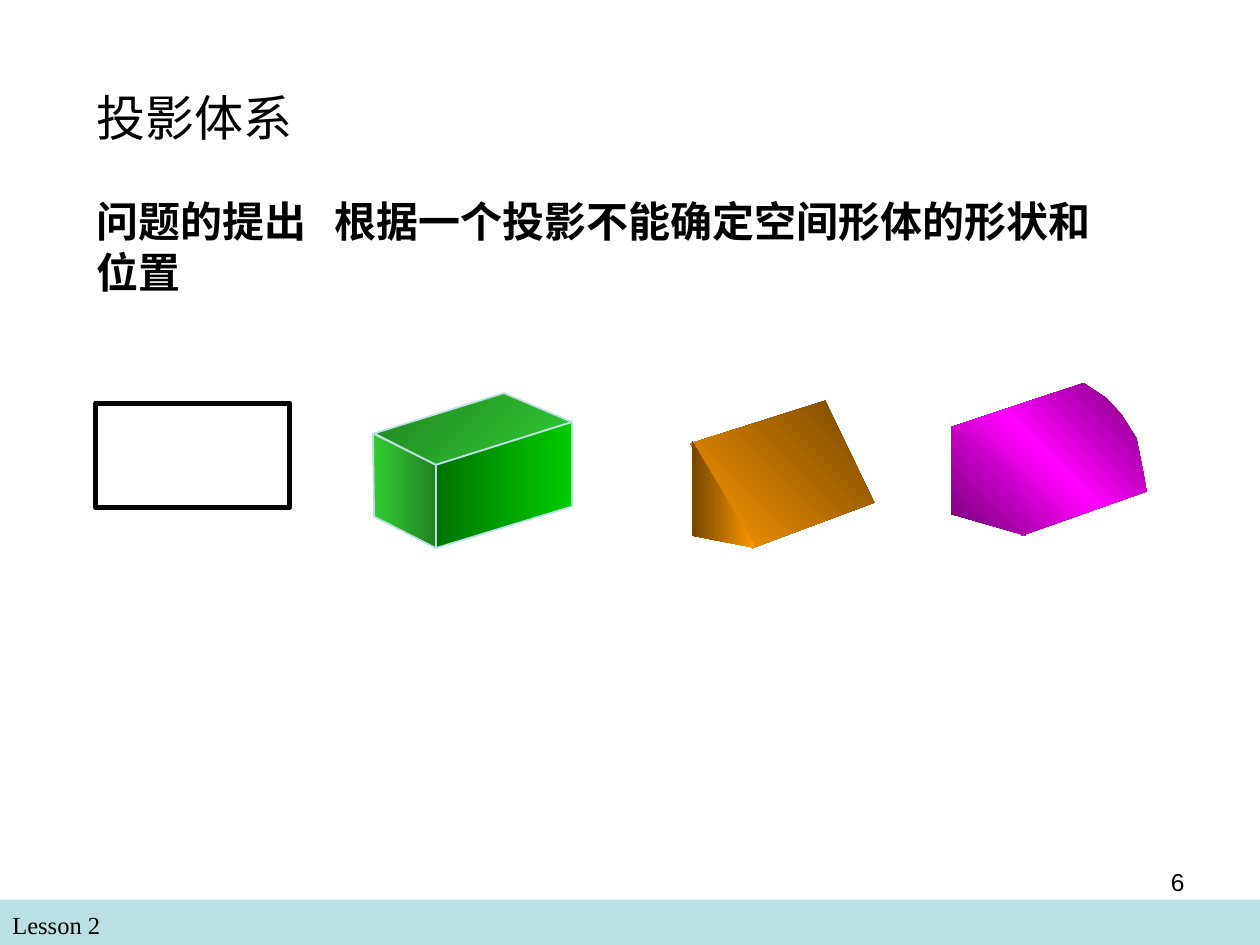
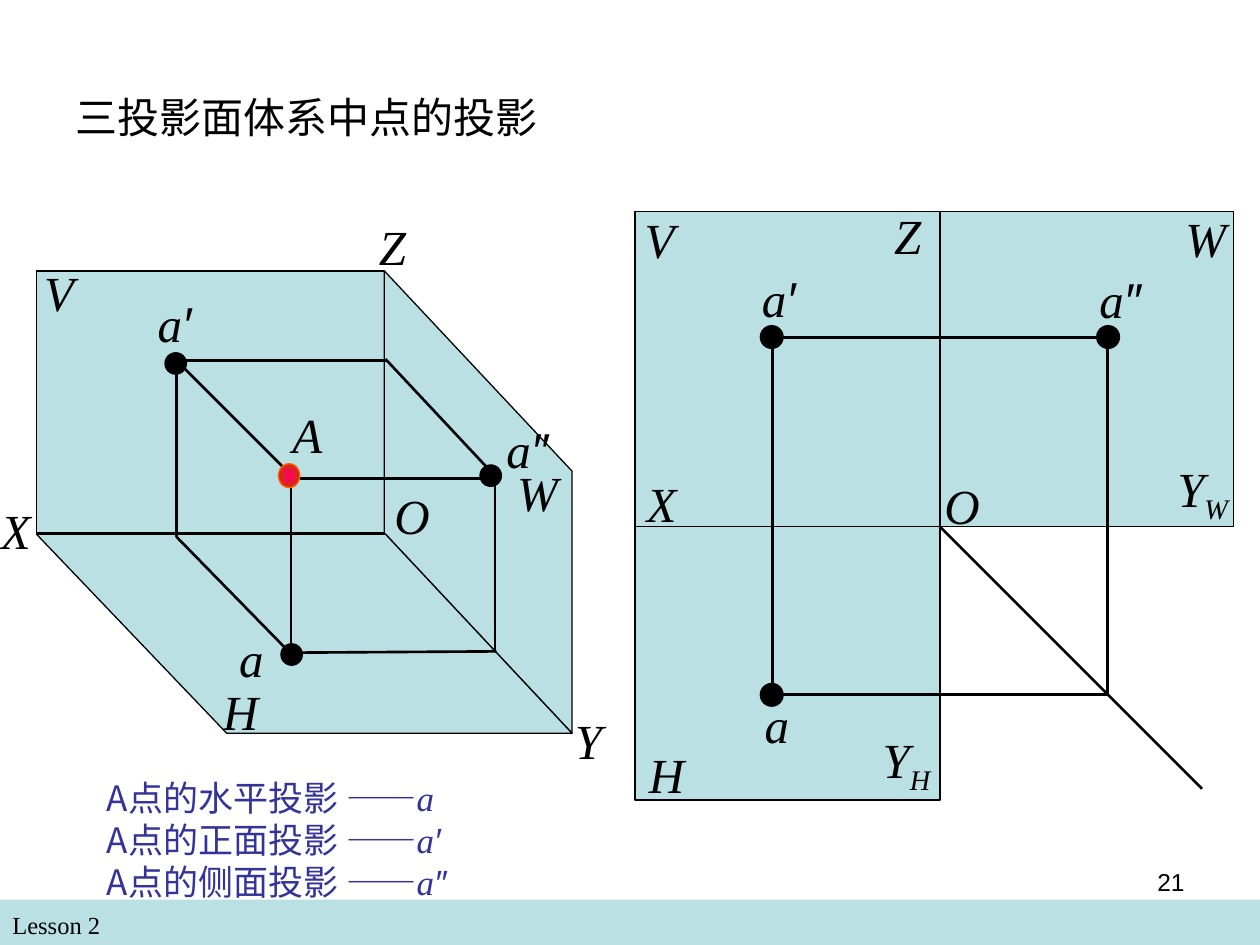
from lxml import etree
from pptx import Presentation
from pptx import util as u
from pptx.dml.color import RGBColor
from pptx.enum import shapes, text
from pptx.oxml.ns import qn

COLOURS = {
    "black": "000000", "pale": "BBE0E3", "blue": "333399", "orange": "FF6600",
    "lime": "33CC33", "leaf": "208320", "green": "00CC00", "pine": "007300",
    "amber": "FF9900", "brown": "754600", "pink": "FF00FF", "plum": "750075",
    "rose": "FF0066", "rust": "CC3300",
}
SERIF, SANS, HAN = "Times New Roman", "Arial", "Noto Sans CJK SC"
MIDDLE = text.MSO_ANCHOR.MIDDLE


def paint(shape, fill=None, line=None, width=0.75):
    """Fill with a colour name, or with (angle, names); angle None means from the centre."""
    shape.shadow.inherit = False
    if fill is None:
        shape.fill.background()
    elif isinstance(fill, str):
        shape.fill.solid()
        shape.fill.fore_color.rgb = RGBColor.from_string(COLOURS[fill])
    else:
        angle, names = fill
        shape.fill.gradient()
        gradient = shape._element.spPr.find(qn("a:gradFill"))
        for child in list(gradient):
            gradient.remove(child)
        stops = etree.SubElement(gradient, qn("a:gsLst"))
        for i, name in enumerate(names):
            stop = etree.SubElement(stops, qn("a:gs"), pos=str(100000 * i // (len(names) - 1)))
            etree.SubElement(stop, qn("a:srgbClr"), val=COLOURS[name])
        if angle is None:
            centre = etree.SubElement(gradient, qn("a:path"), path="rect")
            etree.SubElement(centre, qn("a:fillToRect"), l="50000", t="50000", r="50000", b="50000")
        else:
            etree.SubElement(gradient, qn("a:lin"), ang=str(angle * 60000), scaled="1")
    if line is None:
        shape.line.fill.background()
    else:
        shape.line.color.rgb = RGBColor.from_string(COLOURS[line])
        shape.line.width = u.Pt(width)


def write(page, at, paras, size, colour="black", align=text.PP_ALIGN.LEFT,
          anchor=text.MSO_ANCHOR.TOP, wrap=True, tab=None):
    """Each paragraph is a list of runs (wording, font, style letters: b, i, s for subscript)."""
    box = page.shapes.add_textbox(*map(u.Inches, at))
    frame = box.text_frame
    frame.word_wrap = wrap
    frame.vertical_anchor = anchor
    for i, runs in enumerate(paras):
        para = frame.add_paragraph() if i else frame.paragraphs[0]
        para.alignment = align
        if tab:
            tabs = etree.SubElement(para._p.get_or_add_pPr(), qn("a:tabLst"))
            etree.SubElement(tabs, qn("a:tab"), pos=str(u.Inches(tab)), algn="l")
        for wording, font, style in runs:
            span = para.add_run()
            span.text = wording
            span.font.name = font
            span.font.size = u.Pt(size)
            span.font.bold = "b" in style
            span.font.italic = "i" in style
            span.font.color.rgb = RGBColor.from_string(COLOURS[colour])
            properties = span._r.get_or_add_rPr()
            if "s" in style:
                properties.set("baseline", "-25000")
            if any("一" <= letter <= "龥" for letter in wording):
                etree.SubElement(properties, qn("a:ea"), typeface=HAN)


deck = Presentation()
deck.slide_width, deck.slide_height = u.Inches(10), u.Inches(7.5)

# Pages with their footer band and number
pages = []
for number in ("6", "21"):
    page = deck.slides.add_slide(deck.slide_layouts[6])
    band = page.shapes.add_shape(shapes.MSO_SHAPE.RECTANGLE, *map(u.Inches, (0, 7.14, 10, 0.36)))
    paint(band, "pale")
    write(page, (0, 7.17, 4.83, 0.34), [[("Lesson 2", SERIF, "")]], 14)
    write(page, (7.17, 6.83, 2.33, 0.52), [[(number, SANS, "")]], 14, align=text.PP_ALIGN.RIGHT)
    pages.append(page)
solids, points = pages

# Titles
write(solids, (0.67, 1.33, 8.23, 1.25),
      [[("问题的提出\t根据一个投影不能确定空间形体的形状和位置", SANS, "b")]], 24,
      anchor=MIDDLE, tab=1.89)
write(solids, (0.67, 0.3, 3.83, 1.25), [[("投影体系", SANS, "")]], 28, anchor=MIDDLE)
write(points, (0.5, 0.3, 9, 1.25), [[("三投影面体系中点的投影", HAN, "")]], 24, anchor=MIDDLE)

# Rectangles: the single projection, then the upright planes
rectangles = [
    (solids, (0.76, 3.2, 1.54, 0.83), None, 3),
    (points, (5.04, 1.68, 2.42, 4.67), "pale", 0.75),
    (points, (7.46, 1.68, 2.33, 2.5), "pale", 0.75),
    (points, (0.29, 2.15, 2.76, 2.08), "pale", 0.75),
]
for page, at, fill, width in rectangles:
    plane = page.shapes.add_shape(shapes.MSO_SHAPE.RECTANGLE, *map(u.Inches, at))
    paint(plane, fill, "black", width)

# Faces of the three solids, then the slanted planes
faces = [
    (solids, (225, ("lime", "leaf")), "pale", 1,
     [(2.97, 3.44), (4, 3.12), (4.54, 3.35), (3.46, 3.69)]),
    (solids, (180, ("leaf", "lime")), "pale", 1,
     [(2.96, 3.44), (2.97, 4.1), (3.46, 4.35), (3.46, 3.69)]),
    (solids, (180, ("green", "pine")), "pale", 1,
     [(3.46, 3.69), (3.46, 4.35), (4.54, 4.02), (4.54, 3.35)]),
    (solids, (135, ("brown", "amber")), None, 0,
     [(5.48, 3.52), (6.55, 3.18), (6.94, 3.99), (5.97, 4.35)]),
    (solids, (180, ("amber", "brown")), None, 0,
     [(5.49, 3.5), (5.49, 4.25), (6, 4.35)]),
    (solids, (135, ("plum", "pink", "plum")), None, 0,
     [(7.55, 3.39), (7.72, 3.48), (7.84, 3.58), (7.94, 3.7), (8.04, 3.87), (8.11, 4.08),
      (8.11, 4.25), (9.1, 3.9), (9.07, 3.73), (9.02, 3.48), (8.9, 3.29), (8.78, 3.16),
      (8.6, 3.04)]),
    (solids, (135, ("pink", "plum")), None, 0,
     [(7.55, 3.39), (7.75, 3.49), (7.89, 3.59), (8.02, 3.71), (8.09, 3.91), (8.14, 4.06),
      (8.14, 4.25), (7.55, 4.08)]),
    (points, "pale", "black", 0.75,
     [(3.05, 2.15), (4.54, 3.74), (4.54, 5.82), (3.05, 4.23)]),
    (points, "pale", "black", 0.75,
     [(0.29, 4.24), (1.8, 5.82), (4.54, 5.82), (3.06, 4.24)]),
]
for page, fill, line, width, corners in faces:
    corners = [(u.Inches(x), u.Inches(y)) for x, y in corners]
    outline = page.shapes.build_freeform(*corners[0])
    outline.add_line_segments(corners[1:], close=True)
    paint(outline.convert_to_shape(), fill, line, width)

# Projection lines: unfolded planes, then the spatial view
lines = [
    (6.13, 2.68, 8.88, 2.68, 1.5), (6.13, 2.68, 6.13, 5.51, 1.5),
    (7.46, 4.18, 5.04, 4.18, 0.75), (6.13, 5.51, 8.79, 5.51, 1.5),
    (8.79, 2.68, 8.79, 5.51, 1.5), (7.46, 4.18, 9.54, 6.26, 1.5),
    (1.4, 2.9, 1.4, 4.26, 1.5), (2.3, 5.18, 3.94, 5.17, 1.5),
    (1.4, 4.26, 2.3, 5.18, 1.5), (2.3, 3.76, 1.38, 2.84, 1.5),
    (3.93, 3.81, 3.93, 5.17, 1.5), (2.31, 3.8, 3.98, 3.8, 1.5),
    (2.31, 5.22, 2.31, 3.8, 1.5), (1.4, 2.86, 3.06, 2.86, 1.5),
    (3.06, 2.85, 3.94, 3.79, 1.5),
]
for *ends, width in lines:
    ray = points.shapes.add_connector(shapes.MSO_CONNECTOR.STRAIGHT, *map(u.Inches, ends))
    ray.line.color.rgb = RGBColor.from_string(COLOURS["black"])
    ray.line.width = u.Pt(width)
    etree.SubElement(ray._element.spPr, qn("a:effectLst"))

# Projected points, and point A in space
dots = [
    (6.04, 2.59, 0.17, "black", "black", 1.5), (8.71, 2.59, 0.17, "black", "black", 1.5),
    (6.04, 5.43, 0.17, "black", "black", 1.5), (1.31, 2.8, 0.17, "black", "black", 0.75),
    (2.23, 5.11, 0.17, "black", "black", 0.75), (3.81, 3.69, 0.17, "black", "black", 0.75),
    (2.21, 3.68, 0.19, (None, ("rose", "rust")), "orange", 0.75),
]
for left, top, height, fill, line, width in dots:
    dot = points.shapes.add_shape(shapes.MSO_SHAPE.OVAL, *map(u.Inches, (left, top, 0.17, height)))
    paint(dot, fill, line, width)

# Labels: left, top, width, letter, then a prime or a subscript
labels = [
    (5.05, 5.86, 0.48, "H", ""), (5.87, 2.08, 0.62, "a", "′"), (5.97, 5.46, 0.39, "a", ""),
    (8.35, 2.09, 1.08, "a", "″"), (4.83, 1.61, 0.81, "V", ""), (9.14, 1.6, 0.86, "W", ""),
    (5.03, 3.71, 0.44, "X", ""), (7.33, 3.72, 0.61, "O", ""), (6.92, 1.58, 0.57, "Z", ""),
    (9.09, 3.59, 0.91, "Y", "W"), (6.75, 5.74, 0.89, "Y", "H"),
    (1.59, 5.36, 0.64, "H", ""), (0.25, 2.03, 0.44, "V", ""), (-0.09, 3.92, 0.43, "X", ""),
    (2.81, 1.67, 0.61, "Z", ""), (4.37, 5.59, 0.6, "Y", ""), (3.94, 3.62, 0.65, "W", ""),
    (3.03, 3.8, 0.48, "O", ""), (1, 2.28, 0.77, "a", "′"), (1.8, 4.94, 0.39, "a", ""),
    (3.83, 3.28, 0.71, "a", "″"), (2.22, 3.16, 0.44, "A", ""),
]
for left, top, width, letter, mark in labels:
    runs = [(letter, SERIF, "i")]
    if mark:
        runs.append((mark, SERIF, "is") if mark.isalpha() else (mark, SANS, "i"))
    height = 0.63 if mark.isalpha() else 0.57
    write(points, (left, top, width, height), [runs], 28,
          align=text.PP_ALIGN.CENTER, anchor=MIDDLE, wrap=False)

# Key to the three projections
key = []
for view, mark in (("水平", ""), ("正面", "′"), ("侧面", "″")):
    runs = [(f"A点的{view}投影 ——", HAN, ""), ("a", SERIF, "i")]
    if mark:
        runs.append((mark, SANS, "i"))
    key.append(runs)
write(points, (0.75, 6.11, 8.19, 1.1), key, 20, "blue", anchor=MIDDLE)

deck.save("out.pptx")
